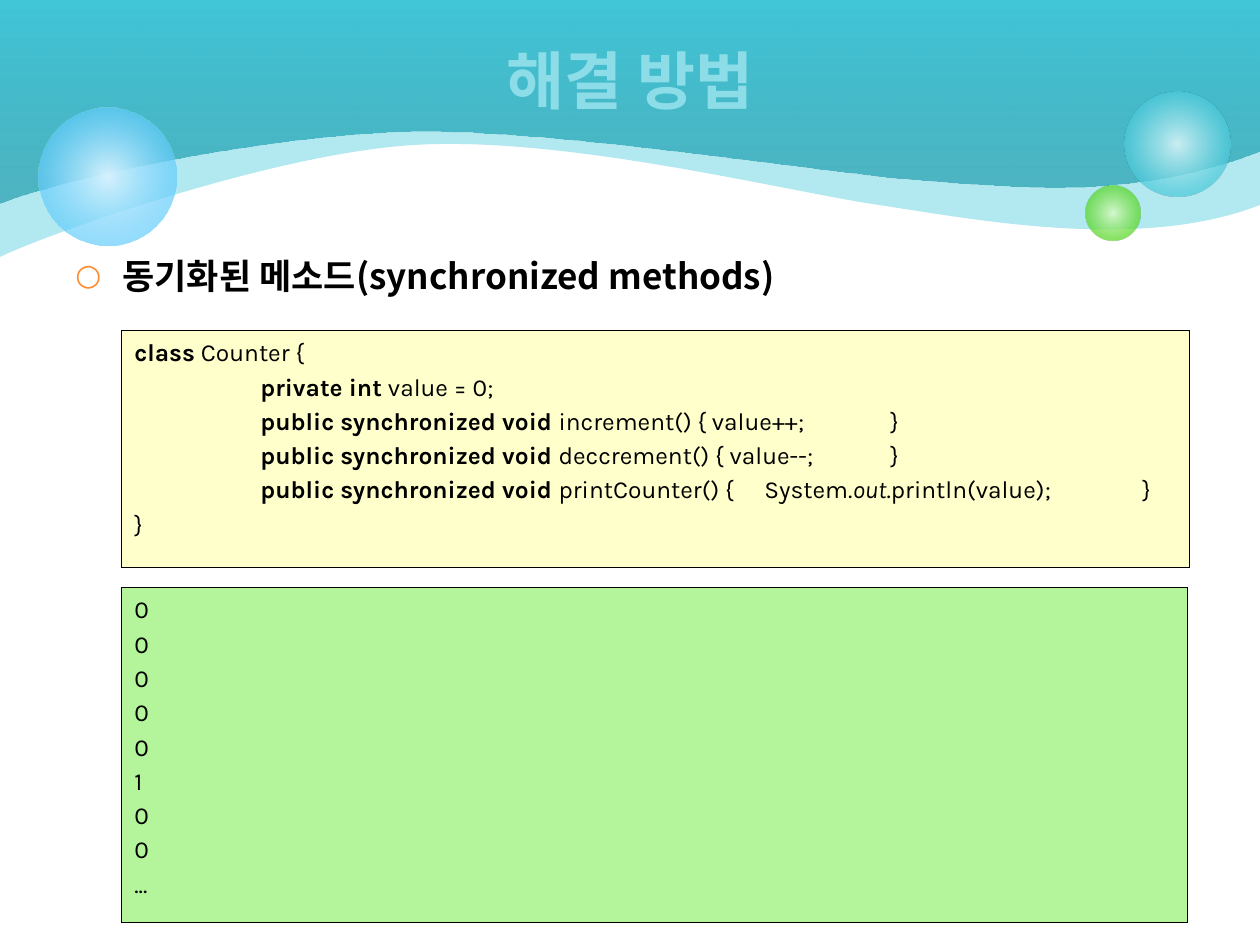
from dataclasses import dataclass

from lxml import etree
from pptx import Presentation
from pptx.dml.color import RGBColor
from pptx.enum.shapes import MSO_SHAPE
from pptx.enum.text import MSO_ANCHOR, PP_ALIGN
from pptx.oxml import parse_xml
from pptx.oxml.ns import qn
from pptx.util import Pt

OVAL, RECT = MSO_SHAPE.OVAL, MSO_SHAPE.RECTANGLE
TOP, MIDDLE = MSO_ANCHOR.TOP, MSO_ANCHOR.MIDDLE
LEFT, CENTER = PP_ALIGN.LEFT, PP_ALIGN.CENTER
NS = "http://schemas.openxmlformats.org/drawingml/2006/main"
EMU_PER_PX = 914400 / 126
TAB_WIDTH, TAB_COUNT = 126, 8
BULLET_INDENT = 47


@dataclass(frozen=True)
class Theme:
    """Colours, fonts and type sizes of the slide."""
    ink: str = "000000"
    title: str = "8CDDE8"
    bullet: str = "FE8C2E"
    code_fill: str = "FFFFCC"
    output_fill: str = "B4F59B"
    wave: str = "40C6D8"
    wave_deep: str = "249EAE"
    heading_font: str = "Noto Sans CJK KR"
    code_font: str = "Karla"
    title_size: int = 36
    heading_size: int = 20
    code_size: int = 14


THEME = Theme()


@dataclass(frozen=True)
class Stop:
    """Gradient stop: position and opacity in percent."""
    position: int
    color: str
    opacity: int = 100


@dataclass(frozen=True)
class Wave:
    """Banner wave: left edge height, then Bezier control points in pixels."""
    start_y: int
    curves: tuple
    stops: tuple


@dataclass(frozen=True)
class Bubble:
    """Round decoration in pixels with its gradient."""
    left: int
    top: int
    size: int
    stops: tuple


@dataclass(frozen=True)
class Panel:
    """Framed listing; each line is a tuple of (text, style) runs."""
    box: tuple
    fill: str
    lines: tuple


WAVES = (
    Wave(257, (((42, 236), (270, 154), (413, 145)),
               ((558, 136), (764, 186), (866, 203)),
               ((968, 218), (1137, 253), (1260, 205))),
         (Stop(0, THEME.wave, 40), Stop(100, THEME.wave, 40))),
    Wave(204, (((57, 181), (256, 136), (411, 132)),
               ((566, 129), (829, 175), (929, 181)),
               ((1028, 188), (1137, 200), (1260, 152))),
         (Stop(0, THEME.wave_deep, 69), Stop(100, THEME.wave))),
)
BUBBLES = (
    Bubble(1125, 92, 105, (Stop(0, "D9F4F7", 90), Stop(76, "40C6D8", 70))),
    Bubble(1086, 186, 54, (Stop(0, "DAFACD", 90), Stop(76, "4CD416", 70))),
    Bubble(39, 108, 138, (Stop(0, "D6F2FE"), Stop(100, "33BDFB", 54))),
)
METHOD = ("\t", ""), ("public synchronized void ", "b")
PANELS = (
    Panel((122, 331, 1068, 237), THEME.code_fill, (
        (("class", "b"), (" Counter {", "")),
        (("\t", ""), ("private int", "b"), (" value = 0;", "")),
        (*METHOD, ("increment() { value++;\t}", "")),
        (*METHOD, ("deccrement() { value--;\t}", "")),
        (*METHOD, ("printCounter() {\tSystem.", ""), ("out", "i"),
         (".println(value);\t}", "")),
        (("}", ""),))),
    Panel((122, 588, 1066, 335), THEME.output_fill,
          tuple(((value, ""),) for value in (*"00000100", "..."))),
)


def px(value: float) -> int:
    """Turn pixels into EMU."""
    return round(value * EMU_PER_PX)


def fill_gradient(shape, stops: tuple, direction: str) -> None:
    """Give a shape a gradient with opacity and remove its outline."""
    shape.shadow.inherit = False
    shape.line.fill.background()
    marks = "".join(
        f'<a:gs pos="{s.position * 1000}"><a:srgbClr val="{s.color}">'
        f'<a:alpha val="{s.opacity * 1000}"/></a:srgbClr></a:gs>' for s in stops)
    gradient = parse_xml(f'<a:gradFill xmlns:a="{NS}" rotWithShape="1">'
                         f'<a:gsLst>{marks}</a:gsLst>{direction}</a:gradFill>')
    shape._element.spPr.find(qn("a:ln")).addprevious(gradient)


def draw_wave(slide, wave: Wave) -> None:
    """Draw a banner bounded below by Bezier curves."""
    outline = slide.shapes.build_freeform(0, 0, EMU_PER_PX)
    ends = [curve[-1] for curve in wave.curves]
    outline.add_line_segments([(0, wave.start_y), *ends, (1261, 0)])
    banner = outline.convert_to_shape()
    segments = list(banner._element.spPr.iter(qn("a:lnTo")))
    for segment, curve in zip(segments[1:], wave.curves):
        points = "".join(f'<a:pt x="{x}" y="{y}"/>' for x, y in curve)
        bend = parse_xml(f'<a:cubicBezTo xmlns:a="{NS}">{points}</a:cubicBezTo>')
        segment.getparent().replace(segment, bend)
    fill_gradient(banner, wave.stops, '<a:lin ang="16200000" scaled="0"/>')


def draw_bubble(slide, bubble: Bubble) -> None:
    """Draw a circle that is lightest in its centre."""
    circle = slide.shapes.add_shape(
        OVAL, *map(px, (bubble.left, bubble.top, bubble.size, bubble.size)))
    fill_gradient(circle, bubble.stops,
                  '<a:path path="circle"><a:fillToRect l="50000" t="50000" '
                  'r="50000" b="50000"/></a:path>')


def set_font(paragraph, name: str, size: int, color: str) -> None:
    """Set the paragraph font for Latin and Korean text."""
    font = paragraph.font
    font.name, font.size = name, Pt(size)
    font.color.rgb = RGBColor.from_string(color)
    east_asian = etree.Element(qn("a:ea"), typeface=name)
    font._element.find(qn("a:latin")).addnext(east_asian)


def space_before(paragraph) -> None:
    """Add a fifth of a line above the paragraph."""
    paragraph.space_before = Pt(0)
    spacing = paragraph._p.pPr.find(qn("a:spcBef"))
    spacing.remove(spacing[0])
    etree.SubElement(spacing, qn("a:spcPct"), val="20000")


def add_to_props(paragraph, *marks: str) -> None:
    """Put paragraph settings ahead of the default font."""
    font = paragraph._p.pPr.find(qn("a:defRPr"))
    for mark in marks:
        font.addprevious(parse_xml(mark))


def set_tabs(paragraph) -> None:
    """Set evenly spaced tab stops."""
    stops = "".join(f'<a:tab pos="{px(TAB_WIDTH * n)}" algn="l"/>'
                    for n in range(1, TAB_COUNT + 1))
    add_to_props(paragraph, f'<a:tabLst xmlns:a="{NS}">{stops}</a:tabLst>')


def add_bullet(paragraph) -> None:
    """Give the paragraph a hanging ring bullet."""
    props = paragraph._p.pPr
    props.set("marL", str(px(BULLET_INDENT)))
    props.set("indent", str(-px(BULLET_INDENT)))
    add_to_props(
        paragraph,
        f'<a:buClr xmlns:a="{NS}"><a:srgbClr val="{THEME.bullet}"/></a:buClr>',
        f'<a:buSzPct xmlns:a="{NS}" val="85000"/>',
        f'<a:buFont xmlns:a="{NS}" typeface="{THEME.code_font}"/>',
        f'<a:buChar xmlns:a="{NS}" char="○"/>')


def add_heading(slide, box: tuple, text: str, size: int, color: str, anchor):
    """Add a bold line of text and return its paragraph."""
    frame = slide.shapes.add_textbox(*map(px, box)).text_frame
    frame.word_wrap, frame.vertical_anchor = True, anchor
    paragraph = frame.paragraphs[0]
    paragraph.text = text
    set_font(paragraph, THEME.heading_font, size, color)
    paragraph.font.bold = True
    paragraph.font._element.set("kern", "0")
    return paragraph


def draw_panel(slide, panel: Panel) -> None:
    """Draw a framed listing with styled runs."""
    listing = slide.shapes.add_shape(RECT, *map(px, panel.box))
    listing._element.remove(listing._element.find(qn("p:style")))
    listing.fill.solid()
    listing.fill.fore_color.rgb = RGBColor.from_string(panel.fill)
    listing.line.color.rgb = RGBColor.from_string(THEME.ink)
    frame = listing.text_frame
    frame.word_wrap, frame.vertical_anchor = True, TOP
    for number, line in enumerate(panel.lines):
        paragraph = frame.add_paragraph() if number else frame.paragraphs[0]
        paragraph.alignment = LEFT
        set_font(paragraph, THEME.code_font, THEME.code_size, THEME.ink)
        space_before(paragraph)
        set_tabs(paragraph)
        for text, style in line:
            run = paragraph.add_run()
            run.text = text
            if style:
                run.font.bold, run.font.italic = style == "b", style == "i"


def main() -> None:
    """Build and save the slide."""
    deck = Presentation()
    deck.slide_width, deck.slide_height = px(1260), px(945)
    slide = deck.slides.add_slide(deck.slide_layouts[6])
    for wave in WAVES:
        draw_wave(slide, wave)
    for bubble in BUBBLES:
        draw_bubble(slide, bubble)
    topic = add_heading(slide, (63, 248, 1134, 624), "동기화된 메소드(synchronized methods)",
                        THEME.heading_size, THEME.ink, TOP)
    space_before(topic)
    add_bullet(topic)
    title = add_heading(slide, (63, 0, 1134, 158), "해결 방법",
                        THEME.title_size, THEME.title, MIDDLE)
    title.alignment = CENTER
    for panel in PANELS:
        draw_panel(slide, panel)
    deck.save("out.pptx")


main()
